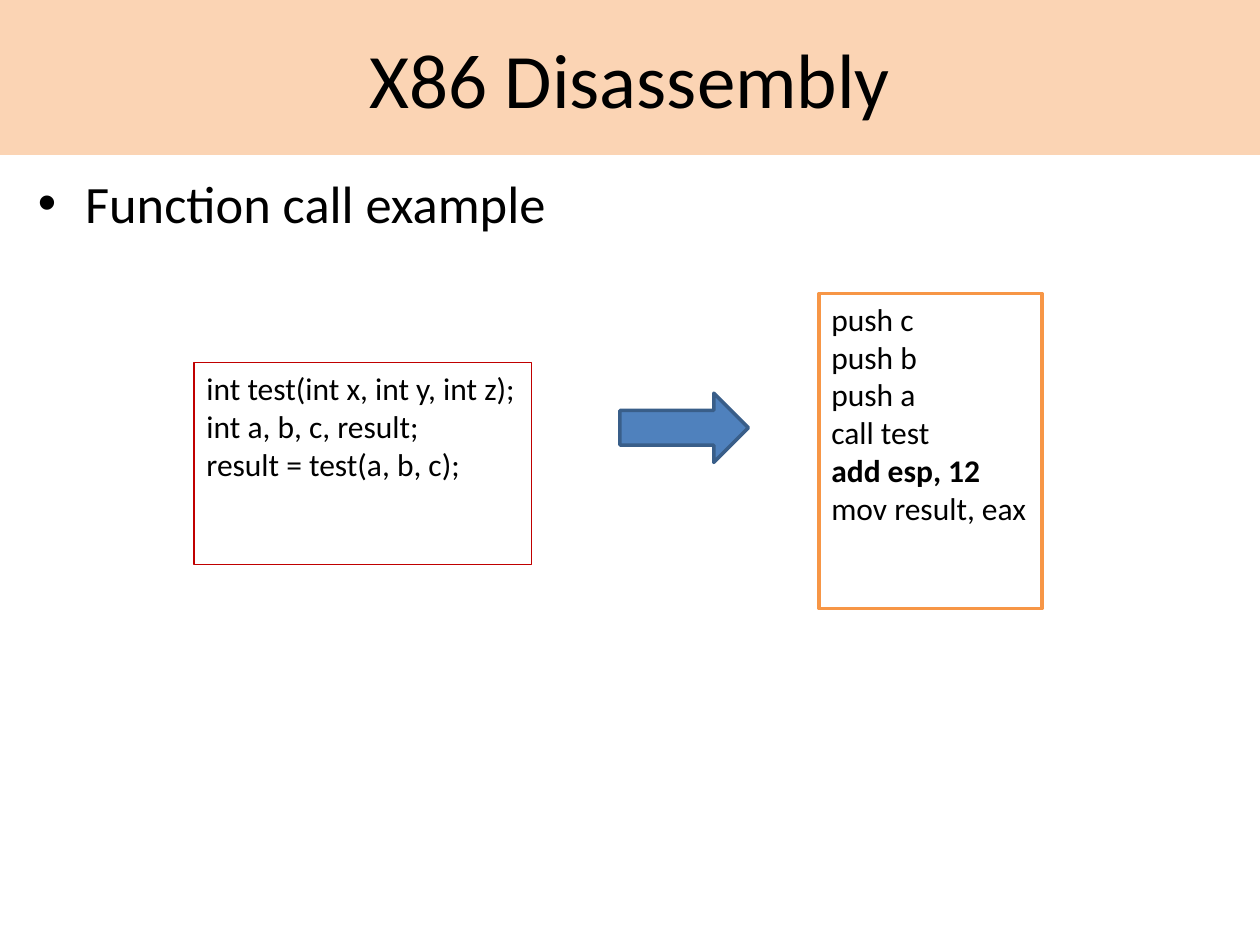
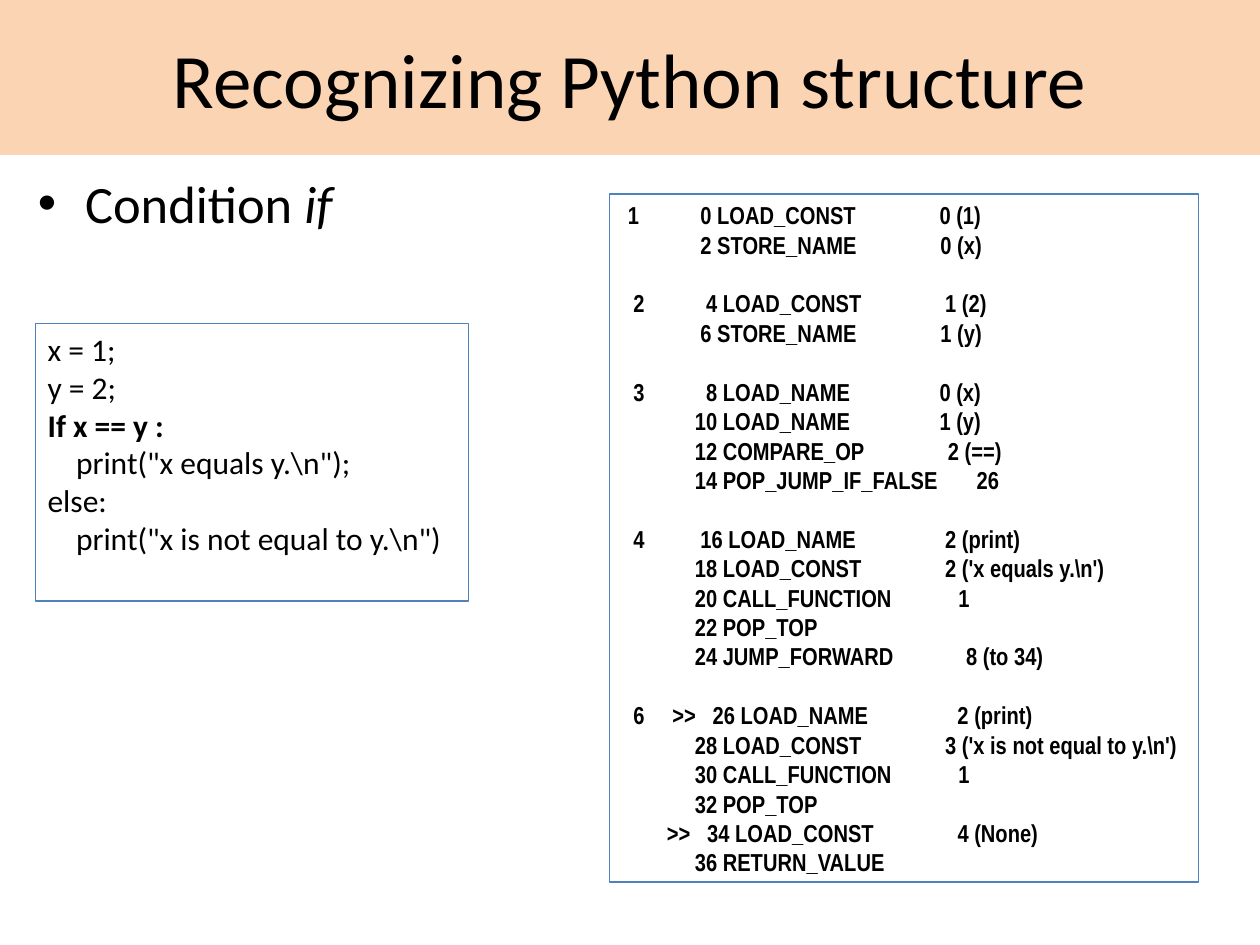
from pptx import Presentation
from pptx.dml.color import RGBColor
from pptx.enum.shapes import MSO_SHAPE
from pptx.enum.text import MSO_ANCHOR, MSO_AUTO_SIZE, PP_ALIGN
from pptx.util import Inches, Pt

ARROW = MSO_SHAPE.RIGHT_ARROW
MIDDLE, TOP = MSO_ANCHOR.MIDDLE, MSO_ANCHOR.TOP
CENTER, LEFT = PP_ALIGN.CENTER, PP_ALIGN.LEFT
FIXED = MSO_AUTO_SIZE.NONE

COLORS = {"band": "FBD4B4", "text": "000000", "white": "FFFFFF", "red": "C00000",
          "orange": "F79646", "blue": "4F81BD", "navy": "395E89"}
WIDTH, HEIGHT = 10, 7.5
BAND = (0, 0, WIDTH, 1.23)
BODY = (0.2, 1.31, 9.61, 5.59)
CODE = {"font": "Calibri", "size": 18}
LISTING = {"font": "Arial Narrow", "size": 14, "bold": True, "gap": 16.8}

# A code box holds groups of lines; a gap parts one group from the next.
SLIDES = [
    {
        "title": "X86 Disassembly",
        "bullet": [("Function call example", False)],
        "boxes": [
            {"at": (1.54, 2.88, 2.68, 1.6), "line": ("red", 0.75), "style": CODE,
             "groups": ["""\
int test(int x, int y, int z);
int a, b, c, result;
result = test(a, b, c);"""]},
            {"at": (6.5, 2.33, 1.77, 2.5), "line": ("orange", 2), "fill": "white",
             "style": CODE, "strong": "add esp, 12",
             "groups": ["""\
push c
push b
push a
call test
add esp, 12
mov result, eax"""]},
        ],
        "arrow": (4.92, 3.12, 1.02, 0.55),
    },
    {
        "title": "Recognizing Python structure",
        "bullet": [("Condition ", False), ("if", True)],
        "boxes": [
            {"at": (0.28, 2.57, 3.44, 2.2), "line": ("blue", 0.75), "style": CODE,
             "strong": "If x == y :",
             "groups": [r"""x = 1;
y = 2;
If x == y :
    print("x equals y.\n");
else:
    print("x is not equal to y.\n")"""]},
            {"at": (4.84, 1.54, 4.67, 5.46), "line": ("blue", 0.75), "style": LISTING,
             "groups": [
                 """\
 1           0 LOAD_CONST               0 (1)
              2 STORE_NAME               0 (x)""",
                 """\
  2           4 LOAD_CONST               1 (2)
              6 STORE_NAME               1 (y)""",
                 """\
  3           8 LOAD_NAME                0 (x)
             10 LOAD_NAME                1 (y)
             12 COMPARE_OP               2 (==)
             14 POP_JUMP_IF_FALSE       26""",
                 r"""  4          16 LOAD_NAME                2 (print)
             18 LOAD_CONST               2 ('x equals y.\n')
             20 CALL_FUNCTION            1
             22 POP_TOP
             24 JUMP_FORWARD             8 (to 34)""",
                 r"""  6     >>   26 LOAD_NAME                2 (print)
             28 LOAD_CONST               3 ('x is not equal to y.\n')
             30 CALL_FUNCTION            1
             32 POP_TOP
        >>   34 LOAD_CONST               4 (None)
             36 RETURN_VALUE"""]},
        ],
    },
]


def color(name):
    return RGBColor.from_string(COLORS[name])


def paint(shape, fill=None, line=None):
    if fill:
        shape.fill.solid()
        shape.fill.fore_color.rgb = color(fill)
    if line:
        name, width = line
        shape.line.color.rgb = color(name)
        shape.line.width = Pt(width)


def place(shape, at):
    shape.left, shape.top, shape.width, shape.height = map(Inches, at)


def set_font(para, name, size, bold=False):
    font = para.font
    font.name, font.size, font.bold = name, Pt(size), bold
    font.color.rgb = color("text")


def set_frame(frame, anchor):
    frame.word_wrap = True
    frame.auto_size = FIXED
    frame.vertical_anchor = anchor


def add_head(slide, title, bullet):
    """Fill the title band and the bullet below it."""
    band, body = slide.shapes.title, slide.placeholders[1]
    place(band, BAND)
    paint(band, "band")
    band.text_frame.text = title
    set_frame(band.text_frame, MIDDLE)
    para = band.text_frame.paragraphs[0]
    para.alignment = CENTER
    set_font(para, "Calibri", 44)

    place(body, BODY)
    set_frame(body.text_frame, TOP)
    para = body.text_frame.paragraphs[0]
    para.space_before = Pt(0)
    set_font(para, "Calibri", 30)
    for text, slant in bullet:
        run = para.add_run()
        run.text = text
        if slant:
            run.font.italic = True


def add_code(slide, at, line, style, groups, fill=None, strong=None):
    box = slide.shapes.add_textbox(*map(Inches, at))
    paint(box, fill, line)
    frame = box.text_frame
    set_frame(frame, TOP)
    lines = [(text, row == 0 and part > 0)
             for part, group in enumerate(groups)
             for row, text in enumerate(group.split("\n"))]
    for i, (text, gap) in enumerate(lines):
        para = frame.add_paragraph() if i else frame.paragraphs[0]
        para.text = text
        para.alignment = LEFT
        if gap:
            para.space_before = Pt(style["gap"])
        bold = style.get("bold", text == strong)
        set_font(para, style["font"], style["size"], bold)


def add_arrow(slide, at):
    arrow = slide.shapes.add_shape(ARROW, *map(Inches, at))
    arrow.shadow.inherit = False
    paint(arrow, "blue", ("navy", 2))


def main():
    deck = Presentation()
    deck.slide_width, deck.slide_height = Inches(WIDTH), Inches(HEIGHT)
    for page in SLIDES:
        slide = deck.slides.add_slide(deck.slide_layouts[1])
        add_head(slide, page["title"], page["bullet"])
        for box in page["boxes"]:
            add_code(slide, **box)
        if "arrow" in page:
            add_arrow(slide, page["arrow"])
    deck.save("out.pptx")


if __name__ == "__main__":
    main()
